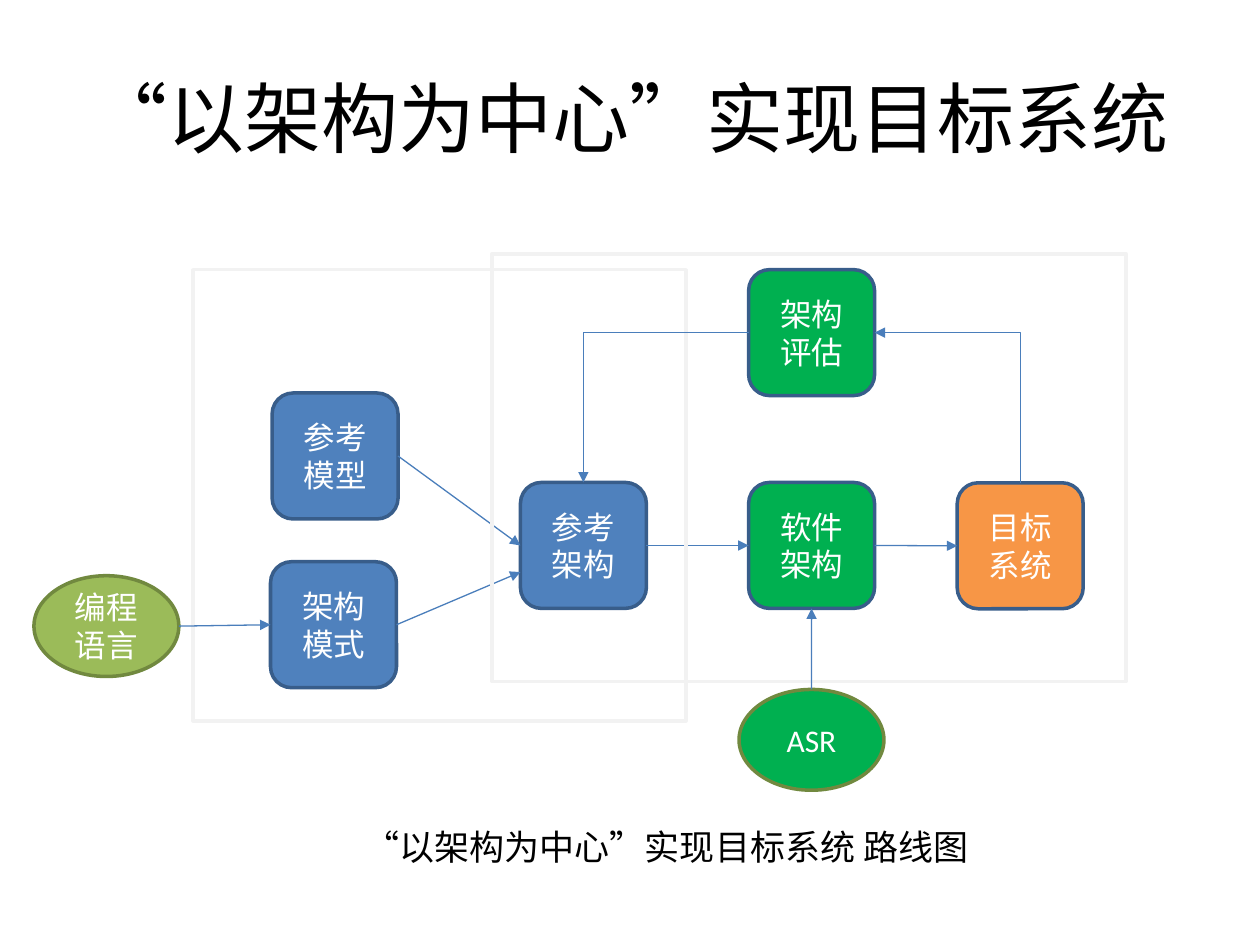
"""Build the slide on the architecture-centred route to a target system."""
from lxml import etree
from pptx import Presentation
from pptx.dml.color import RGBColor
from pptx.enum import shapes, text
from pptx.oxml.ns import qn
from pptx.util import Pt


def color(value):
    return RGBColor.from_string(value)


def write(frame, words, size, ink):
    margins = {"margin_left": 7.2, "margin_right": 7.2, "margin_top": 3.6, "margin_bottom": 3.6}
    for name, value in margins.items():
        setattr(frame, name, Pt(value))
    frame.text = words
    frame.word_wrap = True
    frame.auto_size = text.MSO_AUTO_SIZE.NONE
    frame.vertical_anchor = text.MSO_ANCHOR.MIDDLE
    for para in frame.paragraphs:
        para.alignment = text.PP_ALIGN.CENTER
        for span in para.runs:
            for name, value in {"name": "Calibri", "size": Pt(size)}.items():
                setattr(span.font, name, value)
            span.font.color.rgb = color(ink)


deck = Presentation()
deck.slide_width, deck.slide_height = Pt(720), Pt(540)
page = deck.slides.add_slide(deck.slide_layouts[5])

title = page.shapes.title
place = {"left": 36, "top": 21.6, "width": 648, "height": 90}
for name, value in place.items():
    setattr(title, name, Pt(value))
write(title.text_frame, "“以架构为中心”实现目标系统", 44, "000000")

BOX, OVAL = shapes.MSO_SHAPE.ROUNDED_RECTANGLE, shapes.MSO_SHAPE.OVAL
styles = {BOX: (72, 72, "385D8A"), OVAL: (82.8, 57.6, "71893F")}
BLUE, GREEN, ORANGE, OLIVE = "4F81BD", "00B050", "F79646", "9BBB59"
nodes = [
    (BOX, "参考模型", 155.5, 224.6, BLUE),
    (BOX, "架构模式", 154.6, 321, BLUE),
    (BOX, "参考架构", 297.4, 275.7, BLUE),
    (BOX, "软件架构", 427.8, 275.7, GREEN),
    (BOX, "目标系统", 547, 275.9, ORANGE),
    (BOX, "架构评估", 427.8, 154.1, GREEN),
    (OVAL, "编程\n语言", 19.4, 329, OLIVE),
    (OVAL, "ASR", 422.3, 394, GREEN),
]
for kind, words, left, top, fill in nodes:
    width, height, edge = styles[kind]
    node = page.shapes.add_shape(kind, Pt(left), Pt(top), Pt(width), Pt(height))
    node.shadow.inherit = False
    node.fill.solid()
    node.fill.fore_color.rgb = color(fill)
    node.line.color.rgb = color(edge)
    node.line.width = Pt(2)
    write(node.text_frame, words, 18, "FFFFFF")

STRAIGHT, ELBOW = shapes.MSO_CONNECTOR.STRAIGHT, shapes.MSO_CONNECTOR.ELBOW
lower_arrows = [
    (STRAIGHT, 227.5, 260.6, 297.4, 311.7, "tailEnd"),
    (STRAIGHT, 226.6, 357, 297.4, 326.9, "tailEnd"),
    (STRAIGHT, 369.4, 311.7, 427.8, 311.7, "tailEnd"),
    (STRAIGHT, 499.8, 311.7, 547, 311.9, "tailEnd"),
]
upper_arrows = [
    (ELBOW, 499.8, 190.1, 583, 275.9, "headEnd"),
    (ELBOW, 427.8, 190.1, 333.4, 275.7, "tailEnd"),
    (STRAIGHT, 102.2, 357.8, 154.6, 357, "tailEnd"),
    (STRAIGHT, 463.7, 394, 463.8, 347.7, "tailEnd"),
]
frames = [(110.4, 154.1, 281.5, 257.8), (281.2, 145.1, 362.2, 244.4)]

for layer in (lower_arrows, frames, upper_arrows):
    for item in layer:
        if layer is frames:
            frame = page.shapes.add_shape(shapes.MSO_SHAPE.RECTANGLE, *map(Pt, item))
            frame.shadow.inherit = False
            frame.fill.background()
            frame.line.color.rgb = color("F2F2F2")
            frame.line.width = Pt(2)
            continue
        kind, *ends, head = item
        arrow = page.shapes.add_connector(kind, *map(Pt, ends))
        arrow.line.color.rgb = color("4A7EBB")
        arrow.line.width = Pt(0.75)
        properties = arrow._element.spPr
        etree.SubElement(properties.find(qn("a:ln")), qn("a:" + head), type="triangle")
        etree.SubElement(properties, qn("a:effectLst"))
        if kind == ELBOW:
            properties.find(qn("a:prstGeom")).set("prst", "bentConnector2")

caption = page.shapes.add_textbox(Pt(56.9), Pt(438.5), Pt(648), Pt(90))
write(caption.text_frame, "“以架构为中心”实现目标系统 路线图", 20, "000000")

deck.save("out.pptx")
